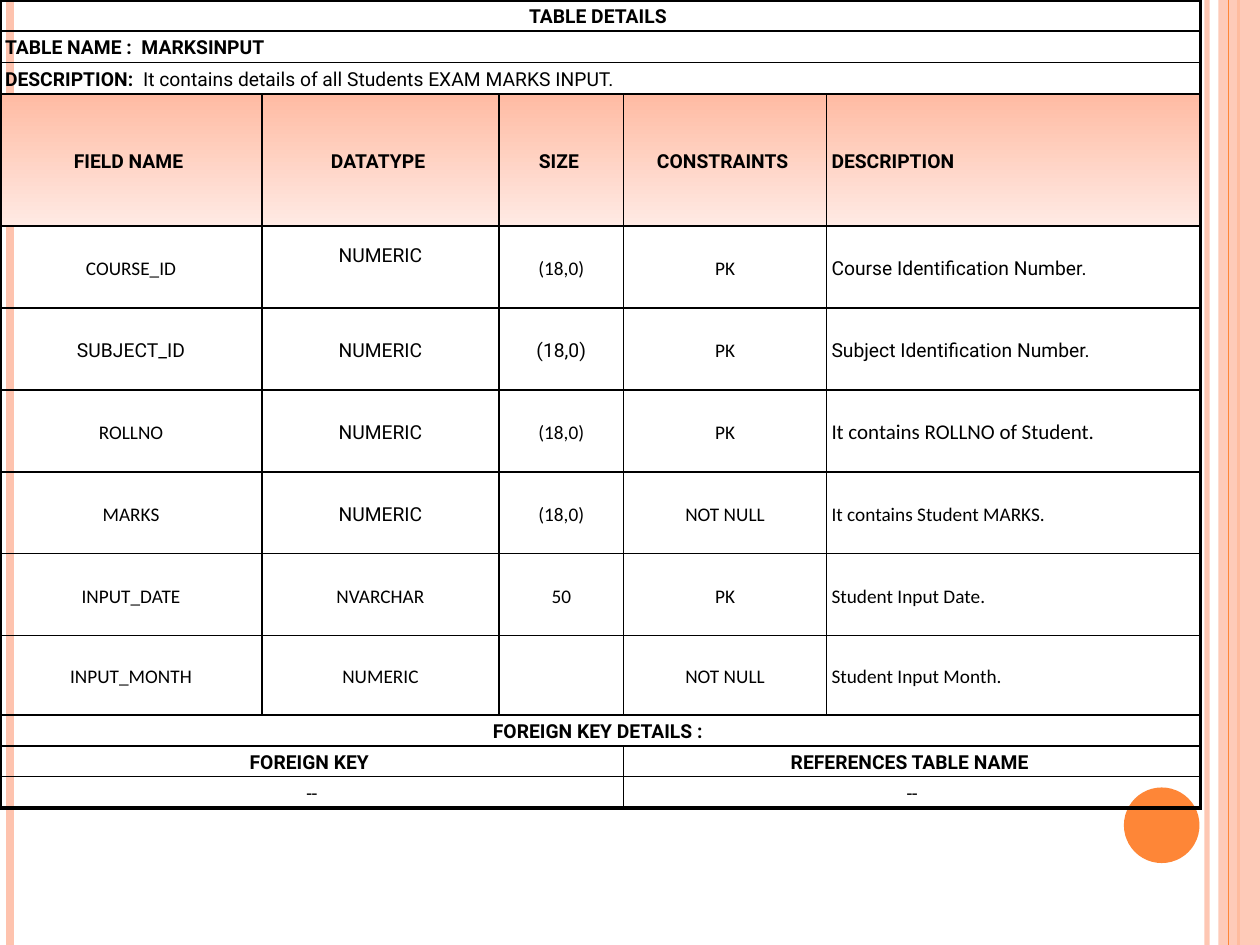
from lxml.etree import SubElement
from pptx import Presentation
from pptx.dml.color import RGBColor
from pptx.enum.shapes import MSO_CONNECTOR, MSO_SHAPE
from pptx.enum.text import MSO_ANCHOR, PP_ALIGN
from pptx.oxml.ns import qn
from pptx.util import Inches, Pt

WIDTH, HEIGHT = 10, 7.5
BLACK, PEACH, ORANGE = "000000", "FEC3AE", "FE8637"
HEADER_TOP, HEADER_BOTTOM = "FFBBA3", "FFEAE4"
THIN, THICK = 1, 2.25
COLUMN_WIDTHS = [2.08, 1.88, 0.99, 1.61, 2.97]
ROW_HEIGHTS = [0.24, 0.25, 0.25, 1.05] + [0.65] * 5 + [0.63, 0.24, 0.24, 0.25]
LAST_COLUMN, LAST_ROW = len(COLUMN_WIDTHS) - 1, len(ROW_HEIGHTS) - 1
HEADER_ROW = 3
HEADINGS = ["FIELD NAME ", "DATATYPE ", "SIZE ", "CONSTRAINTS ", "DESCRIPTION"]
FONTS = {"R": "Roboto", "C": "Calibri"}
FIELDS = [
    ("CRCCR", ["COURSE_ID", "NUMERIC", "(18,0)", "PK", "Course Identification Number."]),
    ("RRRCR", ["SUBJECT_ID", "NUMERIC", "(18,0)", "PK", "Subject Identification Number."]),
    ("CRCCC", ["ROLLNO", "NUMERIC", "(18,0)", "PK", "It contains ROLLNO of Student."]),
    ("CRCCC", ["MARKS", "NUMERIC", "(18,0)", "NOT NULL", "It contains Student MARKS."]),
    ("CCCCC", ["INPUT_DATE", "NVARCHAR", "50", "PK", "Student Input Date."]),
    ("CCCCC", ["INPUT_MONTH", "NUMERIC", "", "NOT NULL", "Student Input Month."]),
]


def color(hex_code):
    return RGBColor.from_string(hex_code)


def set_opacity(element, percent):
    for solid in element.iter(qn("a:srgbClr")):
        SubElement(solid, qn("a:alpha"), val=str(percent * 1000))


def add_stripe(slide, x, hex_code, weight, opacity=100):
    stripe = slide.shapes.add_connector(
        MSO_CONNECTOR.STRAIGHT, Inches(x), 0, Inches(x), Inches(HEIGHT))
    stripe.line.color.rgb = color(hex_code)
    stripe.line.width = Pt(weight)
    properties = stripe._element.spPr
    if opacity < 100:
        set_opacity(properties, opacity)
    SubElement(properties, qn("a:effectLst"))


def add_block(slide, preset, left, top, width, height, hex_code, opacity=100):
    block = slide.shapes.add_shape(
        preset, Inches(left), Inches(top), Inches(width), Inches(height))
    block.shadow.inherit = False
    block.fill.solid()
    block.fill.fore_color.rgb = color(hex_code)
    block.line.fill.background()
    if opacity < 100:
        set_opacity(block._element.spPr, opacity)


def add_text(paragraph, text, font="Roboto", size=11, bold=False):
    run = paragraph.add_run()
    run.text = text
    run.font.name = font
    run.font.size = Pt(size)
    run.font.bold = bold
    run.font.color.rgb = color(BLACK)


def set_borders(cell, row, first, last):
    weights = {
        "a:lnL": THICK if first == 0 else THIN,
        "a:lnR": THICK if last == LAST_COLUMN else THIN,
        "a:lnT": THICK if row == 0 else THIN,
        "a:lnB": THICK if row == LAST_ROW else THIN,
    }
    properties = cell._tc.get_or_add_tcPr()
    for side, weight in weights.items():
        border = SubElement(properties, qn(side), w=str(Pt(weight)))
        fill = SubElement(border, qn("a:solidFill"))
        SubElement(fill, qn("a:srgbClr"), val=BLACK)


def format_cell(table, row, first, last, align=PP_ALIGN.CENTER):
    cell = table.cell(row, first)
    if last > first:
        cell.merge(table.cell(row, last))
    for column in range(first, last + 1):
        set_borders(table.cell(row, column), row, first, last)
        table.cell(row, column).fill.background()
    cell.vertical_anchor = MSO_ANCHOR.MIDDLE
    cell.margin_left = cell.margin_right = Inches(0.04)
    cell.margin_top = cell.margin_bottom = Inches(0.02)
    paragraph = cell.text_frame.paragraphs[0]
    paragraph.alignment = align
    paragraph.line_spacing = 1.15
    return cell, paragraph


def shade_heading(cell):
    cell.fill.gradient()
    cell.fill.gradient_angle = 270
    for stop, hex_code in zip(cell.fill.gradient_stops, (HEADER_TOP, HEADER_BOTTOM)):
        stop.color.rgb = color(hex_code)


def fill_title_rows(table):
    rows = [
        (PP_ALIGN.CENTER, [("TABLE DETAILS ", True)]),
        (PP_ALIGN.LEFT, [("TABLE NAME :  MARKSINPUT", True)]),
        (PP_ALIGN.LEFT, [("DESCRIPTION:  ", True),
                         ("It contains details of all Students EXAM MARKS INPUT.", False)]),
    ]
    for row, (align, parts) in enumerate(rows):
        _, paragraph = format_cell(table, row, 0, LAST_COLUMN, align)
        for text, bold in parts:
            add_text(paragraph, text, bold=bold)


def column_align(column):
    return PP_ALIGN.LEFT if column == LAST_COLUMN else PP_ALIGN.CENTER


def fill_field_rows(table):
    for column, heading in enumerate(HEADINGS):
        cell, paragraph = format_cell(table, HEADER_ROW, column, column, column_align(column))
        shade_heading(cell)
        add_text(paragraph, heading, bold=True)
    for row, (fonts, values) in enumerate(FIELDS, HEADER_ROW + 1):
        for column, (font, value) in enumerate(zip(fonts, values)):
            _, paragraph = format_cell(table, row, column, column, column_align(column))
            if value:
                size = 12 if value == "It contains ROLLNO of Student." else 11
                add_text(paragraph, value, font=FONTS[font], size=size)
    table.cell(HEADER_ROW + 1, 1).margin_bottom = Inches(0.22)


def fill_key_rows(table):
    top = HEADER_ROW + 1 + len(FIELDS)
    cells = [
        (top, 0, LAST_COLUMN, "FOREIGN KEY DETAILS : ", True),
        (top + 1, 0, 2, "FOREIGN KEY ", True),
        (top + 1, 3, LAST_COLUMN, "REFERENCES TABLE NAME ", True),
        (top + 2, 0, 2, "--", False),
        (top + 2, 3, LAST_COLUMN, "--", False),
    ]
    for row, first, last, text, bold in cells:
        _, paragraph = format_cell(table, row, first, last)
        add_text(paragraph, text, bold=bold)


def add_details_table(slide):
    table = slide.shapes.add_table(
        len(ROW_HEIGHTS), len(COLUMN_WIDTHS), 0, 0,
        Inches(sum(COLUMN_WIDTHS)), Inches(sum(ROW_HEIGHTS))).table
    table.first_row = table.horz_banding = False
    for column, width in zip(table.columns, COLUMN_WIDTHS):
        column.width = Inches(width)
    for row, height in zip(table.rows, ROW_HEIGHTS):
        row.height = Inches(height)
    fill_title_rows(table)
    fill_field_rows(table)
    fill_key_rows(table)


def main():
    deck = Presentation()
    deck.slide_width, deck.slide_height = Inches(WIDTH), Inches(HEIGHT)
    slide = deck.slides.add_slide(deck.slide_layouts[6])
    add_stripe(slide, 9.58, PEACH, 3, opacity=93)
    add_stripe(slide, 0.08, PEACH, 4.5)
    add_stripe(slide, 9.83, ORANGE, 1.5)
    add_block(slide, MSO_SHAPE.RECTANGLE, 9.67, 0, 0.33, HEIGHT, PEACH, opacity=87)
    add_stripe(slide, 9.75, ORANGE, 0.75)
    add_block(slide, MSO_SHAPE.OVAL, 8.92, 6.25, 0.6, 0.6, ORANGE)
    add_details_table(slide)
    deck.save("out.pptx")


if __name__ == "__main__":
    main()
